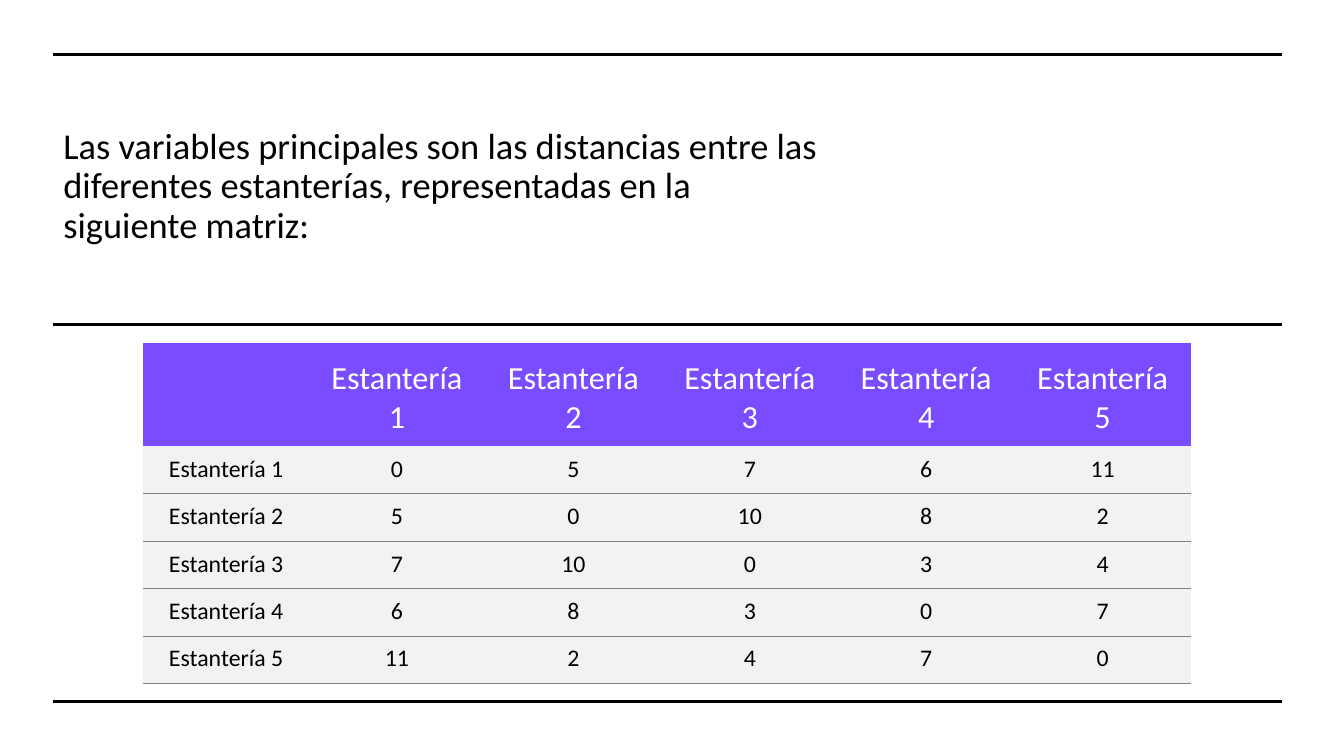
from lxml import etree
from pptx import Presentation
from pptx.dml.color import RGBColor
from pptx.enum import shapes, text
from pptx.oxml import ns
from pptx.util import Pt

FONT = "Calibri"
NO_STYLE = "{2D5ABB26-0587-4C30-8999-92F81FD0307C}"


def rgb(value):
    return RGBColor.from_string(value)


def add_bottom_border(cell, color, width):
    ln = etree.SubElement(cell._tc.get_or_add_tcPr(), ns.qn("a:lnB"), w=str(Pt(width)))
    fill = etree.SubElement(ln, ns.qn("a:solidFill"))
    etree.SubElement(fill, ns.qn("a:srgbClr"), val=color)


prs = Presentation()
prs.slide_width, prs.slide_height = Pt(960), Pt(540)
s = prs.slides.add_slide(prs.slide_layouts[6])

# Introduction
intro = s.shapes.add_textbox(Pt(38.2), Pt(54.7), Pt(556.6), Pt(157.7))
tf = intro.text_frame
tf.word_wrap = True
tf.vertical_anchor = text.MSO_ANCHOR.MIDDLE
p = tf.paragraphs[0]
p.text = ("Las variables principales son las distancias entre las diferentes "
          "estanterías, representadas en la siguiente matriz:")
p.line_spacing = 0.9
p.space_after = Pt(6)
p.font.name, p.font.size = FONT, Pt(26)
p.font.color.rgb = rgb("000000")

# Horizontal rules
for y in (38.9, 231.8, 501.1):
    rule = s.shapes.add_connector(
        shapes.MSO_CONNECTOR.STRAIGHT, Pt(38.2), Pt(y), Pt(915.8), Pt(y))
    rule.line.color.rgb = rgb("000000")
    rule.line.width = Pt(2.25)
    etree.SubElement(rule._element.spPr, ns.qn("a:effectLst"))

# Distance matrix
distances = [
    [0, 5, 7, 6, 11],
    [5, 0, 10, 8, 2],
    [7, 10, 0, 3, 4],
    [6, 8, 3, 0, 7],
    [11, 2, 4, 7, 0],
]
names = [f"Estantería {n}" for n in range(1, 6)]
rows = [["", *names]] + [[name, *values] for name, values in zip(names, distances)]

table = s.shapes.add_table(6, 6, Pt(102.5), Pt(244.8), Pt(748.1), Pt(243.4)).table
table._tbl.tblPr.find(ns.qn("a:tableStyleId")).text = NO_STYLE
table.horz_banding = False
for i in range(6):
    table.columns[i].width = Pt(126 if i else 118.1)
    table.rows[i].height = Pt(33.85 if i else 74.15)

for i, row in enumerate(rows):
    for j, value in enumerate(row):
        cell = table.cell(i, j)
        if i:
            add_bottom_border(cell, "808080", 0.75)
        cell.fill.solid()
        cell.fill.fore_color.rgb = rgb("F2F2F2" if i else "794DFF")
        cell.vertical_anchor = text.MSO_ANCHOR.MIDDLE
        cell.margin_left = cell.margin_top = cell.margin_right = Pt(10)
        cell.margin_bottom = Pt(5)
        p = cell.text_frame.paragraphs[0]
        p.text = str(value)
        p.alignment = text.PP_ALIGN.CENTER
        p.font.name, p.font.size = FONT, Pt(17 if i else 23)
        p.font.color.rgb = rgb("000000" if i else "FFFFFF")
        if i:
            p.line_spacing = Pt(14.2)

prs.save("out.pptx")
